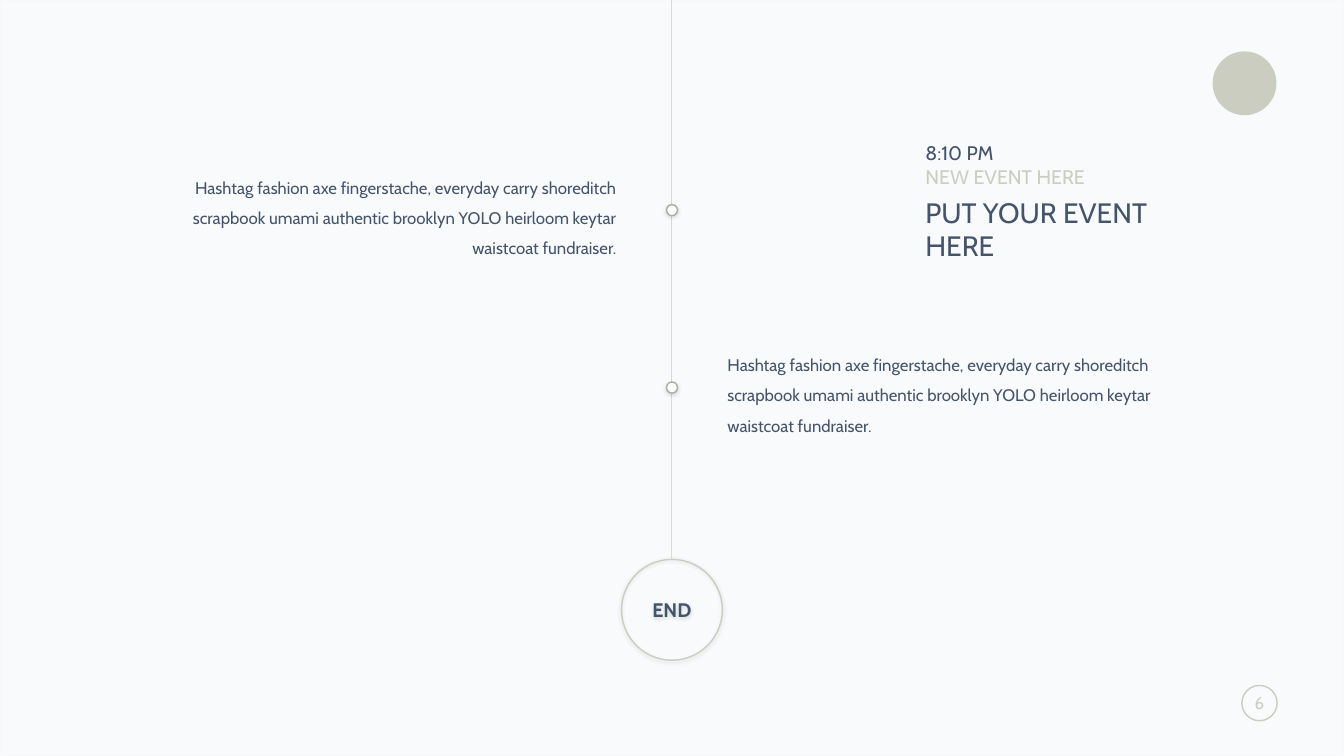
import dataclasses
from typing import Any, Optional

import lxml.etree
import pptx
import pptx.dml.color
import pptx.enum.shapes
import pptx.enum.text
import pptx.oxml.ns
import pptx.util

SHAPE = pptx.enum.shapes.MSO_SHAPE
ALIGN = pptx.enum.text.PP_ALIGN
ANCHOR = pptx.enum.text.MSO_ANCHOR
FIT = pptx.enum.text.MSO_AUTO_SIZE
qn = pptx.oxml.ns.qn

# The grid has 160 columns and 90 rows; the time line runs down its middle
COLS, ROWS = 160, 90
CELL = pptx.util.Inches(7.5) / ROWS
AXIS = COLS / 2
GAP, WIDTH = 5.4, 55.44
FONT, NAVY, SAGE = "Cabin", "44546A", "CBCDC0"
STORY = ("Hashtag fashion axe fingerstache, everyday carry shoreditch scrapbook "
         "umami authentic brooklyn YOLO heirloom keytar waistcoat fundraiser.")


@dataclasses.dataclass
class Box:
    left: float
    top: float
    width: float
    height: float


@dataclasses.dataclass
class Event:
    row: float
    left: float
    align: Any


@dataclasses.dataclass
class Line:
    text: str
    size: float = 14
    hue: str = NAVY
    before: float = 0


EVENTS = [Event(25.02, AXIS - GAP - WIDTH, ALIGN.RIGHT),
          Event(46.14, AXIS + GAP, ALIGN.LEFT)]
HEADING = [Line("8:10 PM"), Line("NEW EVENT HERE", hue=SAGE),
           Line("PUT YOUR EVENT", 20, before=5), Line("HERE", 20)]


def grid(cells: float) -> int:
    return round(cells * CELL)


def color(code: str) -> pptx.dml.color.RGBColor:
    return pptx.dml.color.RGBColor.from_string(code)


def place(item: Any, box: Box) -> None:
    item.left, item.top = grid(box.left), grid(box.top)
    item.width, item.height = grid(box.width), grid(box.height)


def write(frame: Any, text: str, *, first: bool = True, size: float = 12,
          hue: str = NAVY, bold: bool = False, align: Any = ALIGN.LEFT,
          space: float = 1, before: float = 0) -> None:
    para = frame.paragraphs[0] if first else frame.add_paragraph()
    para.alignment, para.line_spacing = align, space
    para.space_before = pptx.util.Pt(before)
    run = para.add_run()
    run.text = text
    run.font.name, run.font.size = FONT, pptx.util.Pt(size)
    run.font.bold, run.font.color.rgb = bold, color(hue)


def fade(fill: Any, share: int) -> None:
    tone = fill.find(qn("a:solidFill")).find(qn("a:srgbClr"))
    lxml.etree.SubElement(tone, qn("a:alpha"), val=str(share * 1000))


def shade(shape: Any) -> None:
    glow = lxml.etree.SubElement(
        shape.element.spPr.find(qn("a:effectLst")), qn("a:outerShdw"),
        blurRad=str(pptx.util.Pt(3)), dist=str(pptx.util.Pt(1)),
        dir="5400000", algn="t", rotWithShape="0")
    tone = lxml.etree.SubElement(glow, qn("a:srgbClr"), val="000000")
    lxml.etree.SubElement(tone, qn("a:alpha"), val="15000")


def draw(slide: Any, kind: Any, box: Box, *, fill: Optional[str] = None,
         edge: Optional[str] = None, weight: float = 1,
         cast: bool = False) -> Any:
    shape = slide.shapes.add_shape(kind, 0, 0, 0, 0)
    place(shape, box)
    shape.shadow.inherit = False
    if fill:
        shape.fill.solid()
        shape.fill.fore_color.rgb = color(fill)
    else:
        shape.fill.background()
    if edge:
        shape.line.color.rgb = color(edge)
        shape.line.width = pptx.util.Pt(weight)
    else:
        shape.line.fill.background()
    if cast:
        shade(shape)
    return shape


def label(shape: Any, text: str, **style: Any) -> None:
    frame = shape.text_frame
    frame.margin_left = frame.margin_right = 0
    frame.margin_top = frame.margin_bottom = 0
    frame.vertical_anchor, frame.word_wrap = ANCHOR.MIDDLE, False
    write(frame, text, align=ALIGN.CENTER, **style)


def prepare(holder: Any, box: Box) -> Any:
    place(holder, box)
    frame = holder.text_frame
    frame.word_wrap, frame.auto_size = True, FIT.SHAPE_TO_FIT_TEXT
    frame.vertical_anchor = ANCHOR.TOP
    return frame


def main() -> None:
    deck = pptx.Presentation()
    deck.slide_width, deck.slide_height = grid(COLS), grid(ROWS)
    slide = deck.slides.add_slide(deck.slide_layouts[3])
    title, *bodies = slide.placeholders

    # Pale wash behind everything
    wash = draw(slide, SHAPE.RECTANGLE, Box(0, 0, COLS, ROWS),
                fill="7B8DB3", edge="EBEBEB", weight=2)
    fade(wash.element.spPr, 4)
    fade(wash.element.spPr.find(qn("a:ln")), 10)
    slide.shapes.element.insert(2, wash.element)

    # Corner emblem and page number
    draw(slide, SHAPE.OVAL, Box(144.36, 6.12, 7.6, 7.6), fill=SAGE)
    badge = draw(slide, SHAPE.ROUNDED_RECTANGLE, Box(147.84, 81.6, 4.2, 4.2),
                 edge=SAGE)
    badge.adjustments[0] = 0.5
    label(badge, "6", hue=SAGE)

    # Time line down to its end
    end = draw(slide, SHAPE.OVAL, Box(AXIS - 6, 66.6, 12, 12),
               edge=SAGE, cast=True)
    label(end, "END", size=14, bold=True)
    line = slide.shapes.add_connector(
        pptx.enum.shapes.MSO_CONNECTOR.STRAIGHT,
        grid(AXIS), 0, grid(AXIS), end.top)
    line.end_connect(end, 0)
    line.line.color.rgb = color("D9D9D9")
    line.line.width = pptx.util.Pt(0.75)
    lxml.etree.SubElement(line.element.spPr, qn("a:effectLst"))

    # Event heading
    frame = prepare(title, Box(108.96, 16.2, 42.84, 15.72))
    for index, part in enumerate(HEADING):
        write(frame, part.text, first=index == 0, size=part.size,
              hue=part.hue, before=part.before)

    # A dot and a story for each event
    for event, body in zip(EVENTS, bodies):
        draw(slide, SHAPE.OVAL,
             Box(AXIS - 0.66, event.row - 0.66, 1.32, 1.32),
             fill="FFFFFF", edge="AAAC9F", cast=True)
        frame = prepare(body, Box(event.left, event.row - 5.7, WIDTH, 12.12))
        write(frame, STORY, align=event.align, space=1.5)
        props = frame.paragraphs[0]._p.get_or_add_pPr()
        props.set("marL", "0")
        props.set("indent", "0")
        lxml.etree.SubElement(props, qn("a:buNone"))

    deck.save("out.pptx")


if __name__ == "__main__":
    main()
